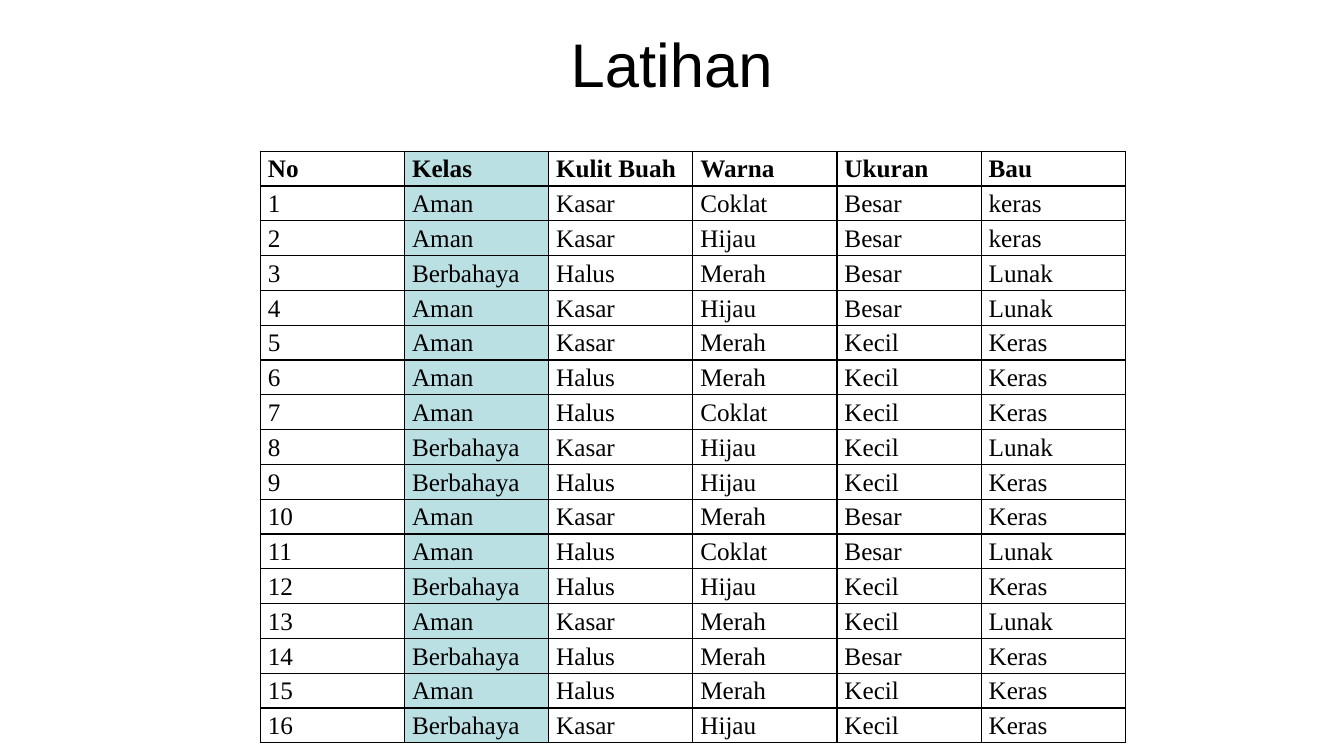
import pptx
import pptx.dml.color
import pptx.enum.text
import pptx.oxml
import pptx.oxml.ns
import pptx.util

Cm = pptx.util.Cm
Pt = pptx.util.Pt

HEADER = ["No", "Kelas", "Kulit Buah", "Warna", "Ukuran", "Bau"]
FRUITS = [
    "Aman Kasar Coklat Besar keras",
    "Aman Kasar Hijau Besar keras",
    "Berbahaya Halus Merah Besar Lunak",
    "Aman Kasar Hijau Besar Lunak",
    "Aman Kasar Merah Kecil Keras",
    "Aman Halus Merah Kecil Keras",
    "Aman Halus Coklat Kecil Keras",
    "Berbahaya Kasar Hijau Kecil Lunak",
    "Berbahaya Halus Hijau Kecil Keras",
    "Aman Kasar Merah Besar Keras",
    "Aman Halus Coklat Besar Lunak",
    "Berbahaya Halus Hijau Kecil Keras",
    "Aman Kasar Merah Kecil Lunak",
    "Berbahaya Halus Merah Besar Keras",
    "Aman Halus Merah Kecil Keras",
    "Berbahaya Kasar Hijau Kecil Keras",
]


def color(value):
    return pptx.dml.color.RGBColor.from_string(value)


class Deck:
    """Hold the text style and the slide being built."""

    ink = "000000"
    accent = "BBE0E3"

    def __init__(self, prs):
        self.slide = prs.slides.add_slide(prs.slide_layouts[5])

    def style(self, p, name, size, bold=False):
        p.font.name = name
        p.font.size = Pt(size)
        p.font.bold = bold
        p.font.color.rgb = color(self.ink)

    def title(self, text, left, top, width, height):
        sp = self.slide.shapes.title
        sp.left, sp.top, sp.width, sp.height = left, top, width, height
        tf = sp.text_frame
        tf.text = text
        tf.vertical_anchor = pptx.enum.text.MSO_ANCHOR.MIDDLE
        p = tf.paragraphs[0]
        p.alignment = pptx.enum.text.PP_ALIGN.CENTER
        self.style(p, "Arial", 44)

    def borders(self, cell):
        tcPr = cell._tc.get_or_add_tcPr()
        for side in ("lnL", "lnR", "lnT", "lnB"):
            tcPr.append(pptx.oxml.parse_xml(
                f'<a:{side} {pptx.oxml.ns.nsdecls("a")} w="{Pt(1)}"><a:solidFill>'
                f'<a:srgbClr val="{self.ink}"/></a:solidFill></a:{side}>'))

    def cell(self, cell, text, bold, filled):
        cell.margin_left = cell.margin_right = Cm(0.19)
        cell.margin_top = cell.margin_bottom = 0
        cell.text = text
        p = cell.text_frame.paragraphs[0]
        p.line_spacing = 1.15
        self.style(p, "Times New Roman", 18, bold)
        self.borders(cell)
        if filled:
            cell.fill.solid()
            cell.fill.fore_color.rgb = color(self.accent)
        else:
            cell.fill.background()

    def table(self, rows, accent_col, left, top, width, height):
        table = self.slide.shapes.add_table(
            len(rows), len(rows[0]), left, top, width, height).table
        table.first_row = table.horz_banding = False
        for i, row in enumerate(rows):
            for j, text in enumerate(row):
                self.cell(table.cell(i, j), text, i == 0, j == accent_col)


def main():
    prs = pptx.Presentation()
    prs.slide_width, prs.slide_height = Cm(33.87), Cm(19.05)
    deck = Deck(prs)
    deck.title("Latihan", Cm(5.5), Cm(0), Cm(22.86), Cm(3.18))
    rows = [HEADER] + [[str(n), *fruit.split()] for n, fruit in enumerate(FRUITS, 1)]
    deck.table(rows, HEADER.index("Kelas"), Cm(6.56), Cm(3.81), Cm(21.8), Cm(14.91))
    prs.save("out.pptx")


if __name__ == "__main__":
    main()
